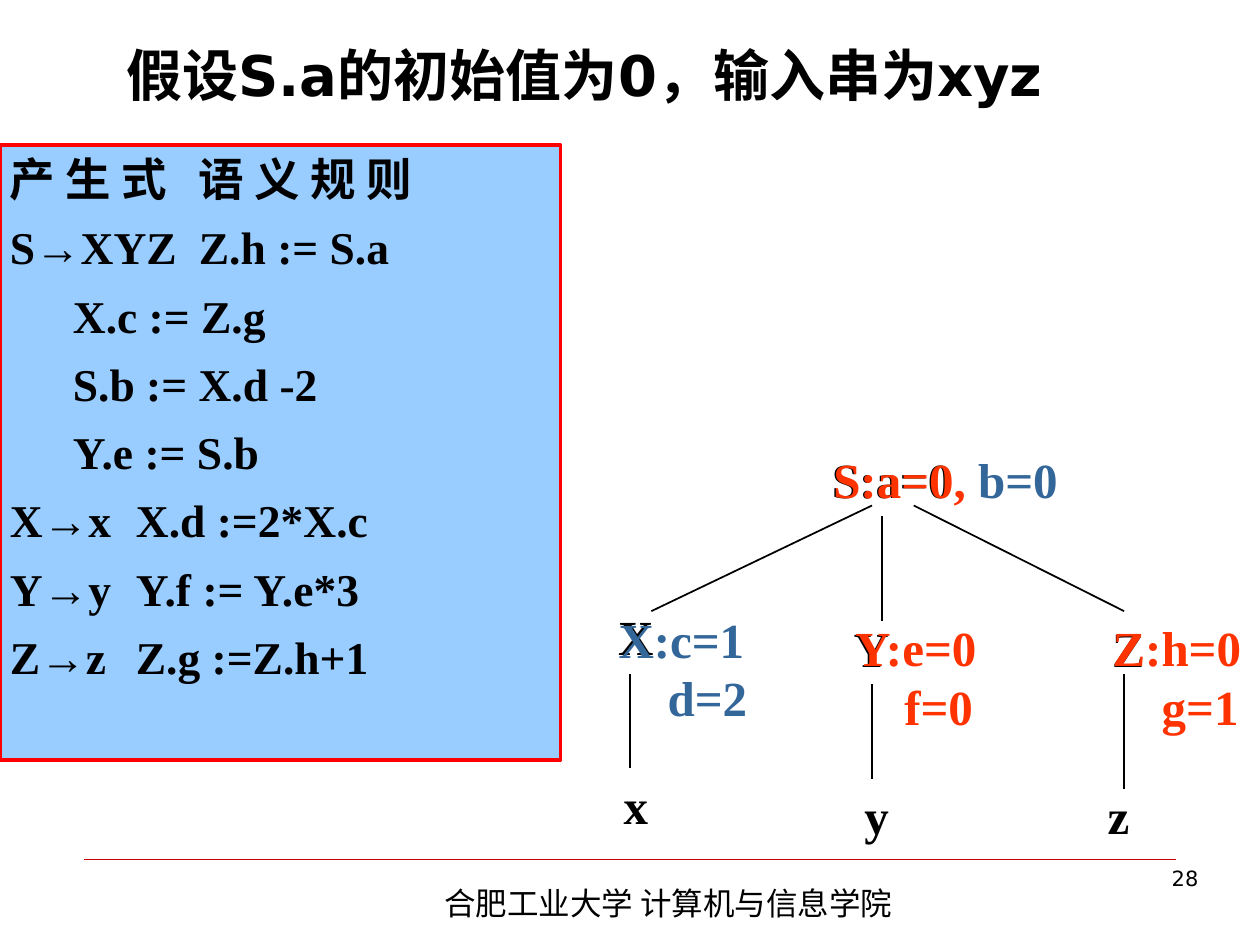
import pptx
import pptx.util
import pptx.dml.color
import pptx.enum.shapes
import pptx.enum.text
import pptx.oxml.ns
from lxml import etree

Cm, Pt = pptx.util.Cm, pptx.util.Pt
RGB = pptx.dml.color.RGBColor
ALIGN = pptx.enum.text.PP_ALIGN
ANCHOR = pptx.enum.text.MSO_ANCHOR
qn = pptx.oxml.ns.qn

BLACK = RGB(0x00, 0x00, 0x00)
RED = RGB(0xFF, 0x00, 0x00)
RULE = RGB(0xCC, 0x00, 0x00)
SKY = RGB(0x99, 0xCC, 0xFF)
ORANGE = RGB(0xFF, 0x33, 0x00)
BLUE = RGB(0x33, 0x66, 0x99)
SERIF, SANS, HAN = "Times New Roman", "DejaVu Sans", "Noto Sans CJK SC"

# Content; all lengths are in centimetres
TITLE = "假设S.a的初始值为0，输入串为xyz"
FOOT = "合肥工业大学 计算机与信息学院"
PAGE = "28"

# Production, semantic rule, tab stop of the rule
RULES = [
    ("产 生 式", "语 义 规 则", 3.86),
    ("S→XYZ", "Z.h := S.a", 4.52),
    ("", "X.c := Z.g", 4.34),
    ("", "S.b := X.d -2", 4.34),
    ("", "Y.e := S.b", 4.32),
    ("X→x", "X.d :=2*X.c", 4.57),
    ("Y→y", "Y.f := Y.e*3", 4.55),
    ("Z→z", "Z.g :=Z.h+1", 4.7),
]

# Tree nodes: text, left, top, width
NODES = [
    ("S:a=0", 16.08, 8.92, 3.81),
    ("X", 11.23, 12.09, 3.18),
    ("Y", 16.08, 12.32, 2.97),
    ("Z", 21.16, 12.32, 3.18),
    ("x", 11.23, 15.49, 3.18),
    ("y", 16.08, 15.7, 3.18),
    ("z", 20.96, 15.7, 3.18),
]
NODE_H = 1.47

# Tree edges: from x, y, to x, y
EDGES = [
    (17.58, 10.19, 13.13, 12.32),
    (17.78, 10.41, 17.78, 12.52),
    (18.42, 10.19, 22.66, 12.32),
    (12.7, 13.59, 12.7, 15.49),
    (17.58, 13.79, 17.58, 15.7),
    (22.66, 13.59, 22.66, 15.9),
]

# Attribute values: two lines, colour, left, top, width, left and top inset
VALUES = [
    ("Z:h=0", "g=1", ORANGE, 22.23, 12.52, 3.18, 0.2, 0.03),
    ("X:c=1", "d=2", BLUE, 12.27, 12.32, 2.97, 0.2, 0.08),
    ("Y:e=0", "f=0", ORANGE, 16.94, 12.52, 2.97, 0.3, 0.03),
]
INDENT = 0.99


def write(para, text, size=28, font=SERIF, color=BLACK, bold=True,
          align=ALIGN.LEFT, left=0, tab=None, before=0):
    """Add a run of text to a paragraph and format both."""
    props = para._p.get_or_add_pPr()
    props.set("marL", str(Cm(left)))
    props.set("indent", "0")
    if props.find(qn("a:buNone")) is None:
        etree.SubElement(props, qn("a:buNone"))
        if tab:
            tabs = etree.SubElement(props, qn("a:tabLst"))
            etree.SubElement(tabs, qn("a:tab"), pos=str(Cm(tab)), algn="l")
    para.alignment = align
    para.space_before = Pt(before)
    run = para.add_run()
    run.text = text
    run.font.size = Pt(size)
    run.font.bold = bold
    run.font.color.rgb = color
    run.font.name = font
    etree.SubElement(run._r.get_or_add_rPr(), qn("a:ea"), typeface=HAN)


def place(shape, left, top, width, height):
    shape.left, shape.top = Cm(left), Cm(top)
    shape.width, shape.height = Cm(width), Cm(height)


def frame(shape, anchor=ANCHOR.TOP, wrap=True, inset=(0.25, 0.13, 0.25, 0.13)):
    """Set up a text frame and return it."""
    box = shape.text_frame
    box.auto_size = pptx.enum.text.MSO_AUTO_SIZE.NONE
    box.word_wrap = wrap
    box.vertical_anchor = anchor
    box.margin_left, box.margin_top, box.margin_right, box.margin_bottom = map(Cm, inset)
    return box


def add_box(slide, left, top, width, height, **style):
    return frame(slide.shapes.add_textbox(*map(Cm, (left, top, width, height))), **style)


def add_line(slide, ends, color=BLACK, width=1):
    kind = pptx.enum.shapes.MSO_CONNECTOR.STRAIGHT
    line = slide.shapes.add_connector(kind, *map(Cm, ends))
    line.line.color.rgb = color
    line.line.width = Pt(width)
    etree.SubElement(line._element.spPr, qn("a:effectLst"))


def main():
    deck = pptx.Presentation()
    deck.slide_width, deck.slide_height = Cm(25.4), Cm(19.05)
    slide = deck.slides.add_slide(deck.slide_layouts[1])
    title, body = slide.placeholders[0], slide.placeholders[1]

    # Footer
    add_line(slide, (1.7, 17.32, 23.7, 17.32), RULE, 0.25)
    foot = add_box(slide, 8.71, 17.7, 13.21, 1.02)
    write(foot.paragraphs[0], FOOT, size=18, font=HAN, bold=False)
    page = add_box(slide, 18.9, 17.32, 5.51, 1.32)
    write(page.paragraphs[0], PAGE, size=12, font=SANS, bold=False, align=ALIGN.RIGHT)

    # Title
    place(title, 2.29, 0.71, 21.59, 1.57)
    write(frame(title, ANCHOR.MIDDLE).paragraphs[0], TITLE, size=32, font=SANS)

    # Tree
    for text, left, top, width in NODES:
        node = add_box(slide, left, top, width, NODE_H, anchor=ANCHOR.MIDDLE, wrap=False)
        write(node.paragraphs[0], text, align=ALIGN.CENTER)
    for ends in EDGES:
        add_line(slide, ends)

    # Attribute values
    for first, second, color, left, top, width, dx, dy in VALUES:
        box = add_box(slide, left, top, width, 2.34, anchor=ANCHOR.MIDDLE,
                      wrap=False, inset=(dx, dy, 0.25, 0.13))
        write(box.paragraphs[0], first, color=color)
        write(box.add_paragraph(), second, color=color, left=INDENT)
    root = add_box(slide, 15.67, 8.92, 6.78, NODE_H, anchor=ANCHOR.MIDDLE, wrap=False)
    for text, color in (("S:a=0, ", ORANGE), ("b=0", BLUE)):
        write(root.paragraphs[0], text, color=color, align=ALIGN.CENTER)

    # Semantic rules
    place(body, 0, 2.92, 11.3, 12.4)
    body.fill.solid()
    body.fill.fore_color.rgb = SKY
    body.line.color.rgb = RED
    body.line.width = Pt(2)
    box = frame(body, inset=(0.2, 0.13, 0, 0.13))
    for i, (left, right, tab) in enumerate(RULES):
        para = box.add_paragraph() if i else box.paragraphs[0]
        write(para, left + "\t" + right, size=26, tab=tab, before=7.8 if i else 0)

    deck.save("out.pptx")


if __name__ == "__main__":
    main()
